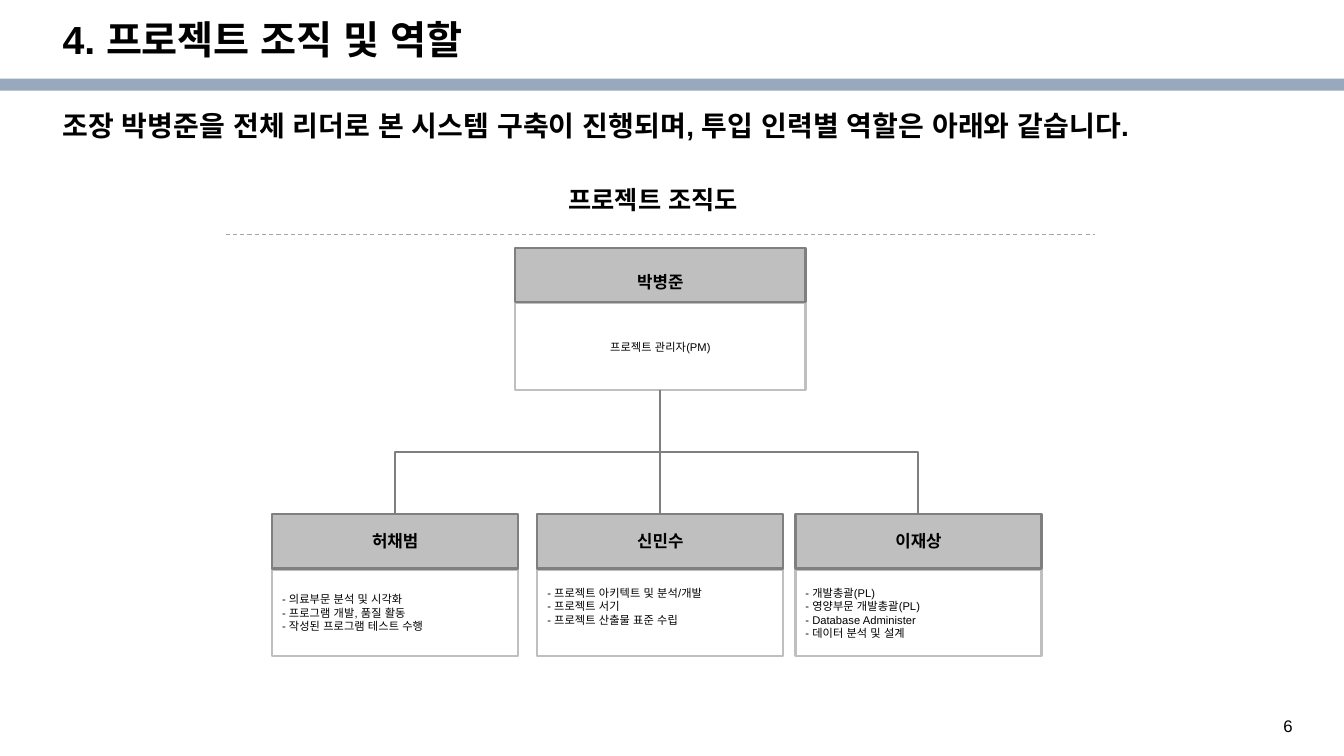
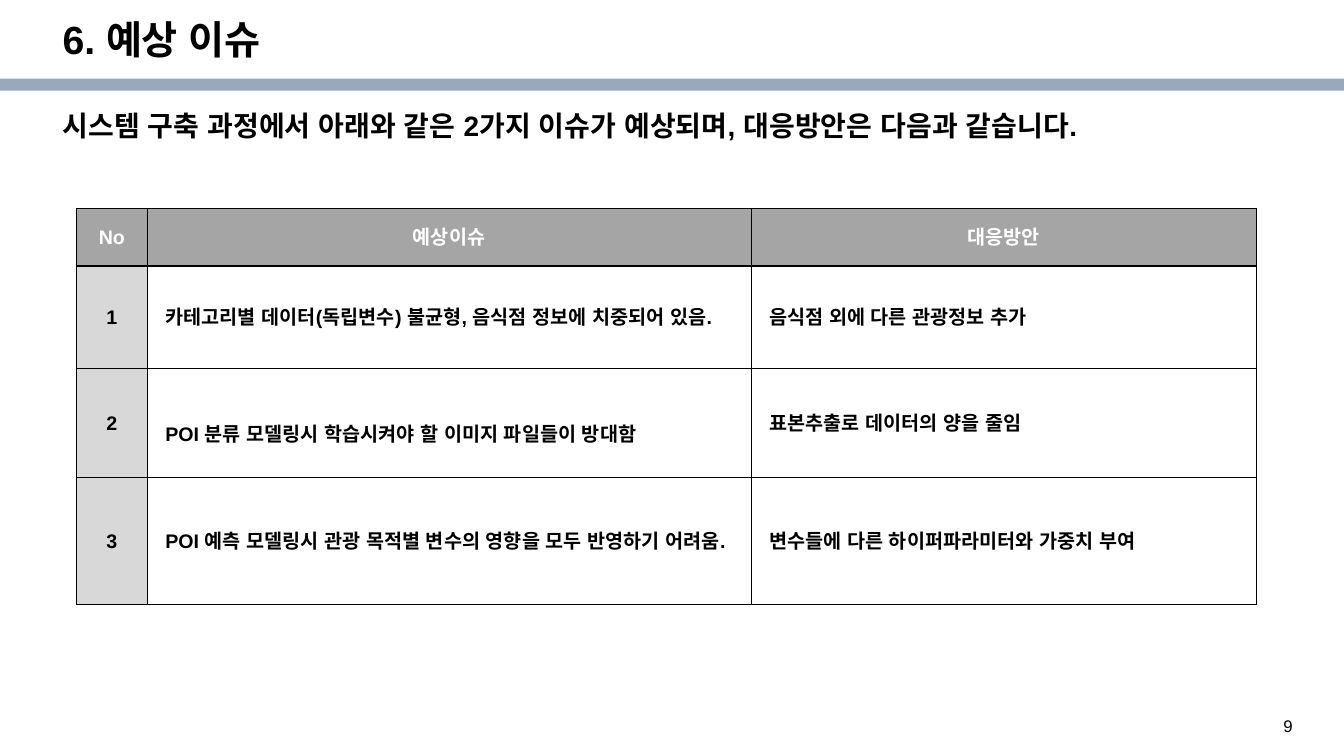
from lxml import etree
from pptx import Presentation
from pptx.dml.color import RGBColor
from pptx.enum.dml import MSO_LINE
from pptx.enum.shapes import MSO_CONNECTOR, MSO_SHAPE
from pptx.enum.text import MSO_ANCHOR, MSO_AUTO_SIZE, PP_ALIGN
from pptx.oxml.ns import qn
from pptx.util import Inches, Pt

# Shared style
FONT = "Arial"
BLACK = RGBColor(0x00, 0x00, 0x00)
WHITE = RGBColor(0xFF, 0xFF, 0xFF)
BAND_BLUE = RGBColor(0x98, 0xA8, 0xBD)
DARK_GREY = RGBColor(0x7F, 0x7F, 0x7F)
HEADER_GREY = RGBColor(0xA5, 0xA5, 0xA5)
BOX_GREY = RGBColor(0xBF, 0xBF, 0xBF)
NUMBER_GREY = RGBColor(0xD8, 0xD8, 0xD8)
LEFT, CENTER = PP_ALIGN.LEFT, PP_ALIGN.CENTER
TOP, MIDDLE = MSO_ANCHOR.TOP, MSO_ANCHOR.MIDDLE
NO_AUTOFIT = MSO_AUTO_SIZE.NONE
RECTANGLE = MSO_SHAPE.RECTANGLE
STRAIGHT, ELBOW = MSO_CONNECTOR.STRAIGHT, MSO_CONNECTOR.ELBOW
DASH = MSO_LINE.DASH
TITLE_ONLY = 5
PAGE_WIDTH, PAGE_HEIGHT = 13.33, 7.5

# Organisation chart
NAME_HEIGHT, ROLE_OFFSET, ROLE_HEIGHT = 0.54, 0.55, 0.86
MANAGER_LEFT, MANAGER_TOP, MANAGER_WIDTH = 5.11, 2.46, 2.88
MEMBER_TOP, MEMBER_WIDTH = 5.1, 2.44
MEMBERS = [
    (2.7, "허채범", 0.05,
     ["- 의료부문 분석 및 시각화", "- 프로그램 개발, 품질 활동",
      "- 작성된 프로그램 테스트 수행"]),
    (5.33, "신민수", 0.18,
     ["- 프로젝트 아키텍트 및 분석/개발", "- 프로젝트 서기",
      "- 프로젝트 산출물 표준 수립"]),
    (7.89, "이재상", 0.05,
     ["- 개발총괄(PL)", "- 영양부문 개발총괄(PL)",
      "- Database Administer", "- 데이터 분석 및 설계"]),
]

# Issue table
COLUMN_WIDTHS = [0.7, 5.99, 5.01]
ROW_HEIGHTS = [0.57, 1.02, 1.08, 1.26]
ISSUES = [
    ["No", "예상이슈", "대응방안"],
    ["1", "카테고리별 데이터(독립변수) 불균형, 음식점 정보에 치중되어 있음.",
     "음식점 외에 다른 관광정보 추가"],
    ["2", "POI 분류 모델링시 학습시켜야 할 이미지 파일들이 방대함",
     "표본추출로 데이터의 양을 줄임"],
    ["3", "POI 예측 모델링시 관광 목적별 변수의 영향을 모두 반영하기 어려움.",
     "변수들에 다른 하이퍼파라미터와 가중치 부여"],
]


def write_text(frame, lines, size=12, bold=False, color=BLACK, align=LEFT,
               spacing=None):
    """Fill a text frame with one paragraph per line."""
    for index, line in enumerate(lines):
        para = frame.add_paragraph() if index else frame.paragraphs[0]
        para.alignment = align
        if spacing:
            para.line_spacing = spacing
        span = para.add_run()
        span.text = line
        span.font.name = FONT
        span.font.size = Pt(size)
        span.font.bold = bold
        span.font.color.rgb = color
        east_asian = etree.SubElement(span.font._element, qn("a:ea"))
        east_asian.set("typeface", FONT)


def add_text_box(page, left, top, width, height, text, **text_format):
    box = page.shapes.add_textbox(Inches(left), Inches(top),
                                  Inches(width), Inches(height))
    box.text_frame.word_wrap = True
    write_text(box.text_frame, [text], **text_format)


def add_rectangle(page, left, top, width, height, fill=None, line=None):
    box = page.shapes.add_shape(RECTANGLE, Inches(left), Inches(top),
                                Inches(width), Inches(height))
    box.shadow.inherit = False
    if fill is None:
        box.fill.background()
    else:
        box.fill.solid()
        box.fill.fore_color.rgb = fill
    if line is None:
        box.line.fill.background()
    else:
        box.line.color.rgb = line
        box.line.width = Pt(1.5)
    return box


def add_line(page, kind, start, end, color, width):
    line = page.shapes.add_connector(kind, Inches(start[0]), Inches(start[1]),
                                     Inches(end[0]), Inches(end[1]))
    line.line.color.rgb = color
    line.line.width = Pt(width)
    etree.SubElement(line._element.spPr, qn("a:effectLst"))
    return line


def add_branch(page, start, end):
    """Elbow that leaves downwards: a sideways elbow turned by a quarter."""
    run, drop = end[0] - start[0], end[1] - start[1]
    middle_x, middle_y = start[0] + run / 2, start[1] + drop / 2
    half_width, half_height = drop / 2, abs(run) / 2
    branch = add_line(page, ELBOW,
                      (middle_x - half_width, middle_y - half_height),
                      (middle_x + half_width, middle_y + half_height),
                      DARK_GREY, 1.5)
    frame = branch._element.spPr.find(qn("a:xfrm"))
    frame.set("rot", str((90 if run < 0 else 270) * 60000))
    if run >= 0:
        frame.set("flipH", "1")


def add_person(page, left, top, width, name, roles, role_align=LEFT,
               name_anchor=MIDDLE, name_margin=0.05, role_margin=0.05):
    """Role box with a grey name box above it."""
    role_box = add_rectangle(page, left, top + ROLE_OFFSET, width, ROLE_HEIGHT,
                             line=BOX_GREY)
    role_box.text_frame.vertical_anchor = MIDDLE
    role_box.text_frame.margin_bottom = Inches(role_margin)
    write_text(role_box.text_frame, roles, size=8, align=role_align)
    name_box = add_rectangle(page, left, top, width, NAME_HEIGHT,
                             fill=BOX_GREY, line=DARK_GREY)
    name_box.text_frame.vertical_anchor = name_anchor
    name_box.text_frame.margin_top = Inches(name_margin)
    write_text(name_box.text_frame, [name], bold=True, align=CENTER)


def add_cell_borders(cell):
    properties = cell._tc.get_or_add_tcPr()
    for index, side in enumerate(("a:lnL", "a:lnR", "a:lnT", "a:lnB")):
        border = etree.Element(qn(side), w=str(Pt(0.96)))
        fill = etree.SubElement(border, qn("a:solidFill"))
        etree.SubElement(fill, qn("a:srgbClr"), val=str(BLACK))
        properties.insert(index, border)


def add_issue_table(page, left, top):
    table = page.shapes.add_table(
        len(ROW_HEIGHTS), len(COLUMN_WIDTHS), Inches(left), Inches(top),
        Inches(sum(COLUMN_WIDTHS)), Inches(sum(ROW_HEIGHTS))).table
    table.horz_banding = False
    for column, width in zip(table.columns, COLUMN_WIDTHS):
        column.width = Inches(width)
    for row, height in zip(table.rows, ROW_HEIGHTS):
        row.height = Inches(height)
    for row_index, texts in enumerate(ISSUES):
        for column_index, text in enumerate(texts):
            cell = table.cell(row_index, column_index)
            header, number = row_index == 0, column_index == 0
            cell.vertical_anchor = MIDDLE
            if header or number:
                cell.fill.solid()
                cell.fill.fore_color.rgb = HEADER_GREY if header else NUMBER_GREY
            else:
                cell.fill.background()
                cell.margin_left = Inches(0.18)
            if number and not header:
                cell.margin_left = cell.margin_right = Inches(0.05)
            write_text(cell.text_frame, [text], size=14, bold=True,
                       color=WHITE if header else BLACK,
                       align=CENTER if header or number else LEFT)
            add_cell_borders(cell)
    # The second issue sits a little below the middle of its row
    table.cell(2, 1).margin_top = Inches(0.27)


def add_page(deck, title, message, number):
    """Page with title, band, key message and page number."""
    page = deck.slides.add_slide(deck.slide_layouts[TITLE_ONLY])
    add_rectangle(page, 0, 0.78, PAGE_WIDTH, 0.12, fill=BAND_BLUE)
    add_text_box(page, 12.63, 7.05, 0.51, 0.27, str(number))
    heading = page.shapes.title
    heading.left, heading.top = Inches(0.52), Inches(0.15)
    heading.width, heading.height = Inches(11.5), Inches(0.53)
    heading.text_frame.vertical_anchor = TOP
    heading.text_frame.auto_size = NO_AUTOFIT
    write_text(heading.text_frame, [title], size=28, bold=True, spacing=0.9)
    add_text_box(page, 0.52, 1.06, 12.01, 0.71, message, size=20, bold=True,
                 spacing=0.9)
    return page


def build_organisation(deck):
    page = add_page(
        deck, "4. 프로젝트 조직 및 역할",
        "조장 박병준을 전체 리더로 본 시스템 구축이 진행되며, "
        "투입 인력별 역할은 아래와 같습니다.", 6)
    # Chart heading
    rule = add_line(page, STRAIGHT, (2.24, 2.33), (10.86, 2.33),
                    HEADER_GREY, 0.75)
    rule.line.dash_style = DASH
    add_text_box(page, 5.54, 1.78, 2.44, 0.4, "프로젝트 조직도", size=18, bold=True)
    # Manager and members
    add_person(page, MANAGER_LEFT, MANAGER_TOP, MANAGER_WIDTH, "박병준",
               ["프로젝트 관리자(PM)"], role_align=CENTER, name_anchor=TOP,
               name_margin=0.24)
    manager_foot = (MANAGER_LEFT + MANAGER_WIDTH / 2,
                    MANAGER_TOP + ROLE_OFFSET + ROLE_HEIGHT)
    for left, name, role_margin, roles in MEMBERS:
        add_person(page, left, MEMBER_TOP, MEMBER_WIDTH, name, roles,
                   role_margin=role_margin)
        add_branch(page, manager_foot, (left + MEMBER_WIDTH / 2, MEMBER_TOP))


def build_issues(deck):
    page = add_page(
        deck, "6. 예상 이슈",
        "시스템 구축 과정에서 아래와 같은 2가지 이슈가 예상되며, "
        "대응방안은 다음과 같습니다.", 9)
    add_issue_table(page, 0.76, 2.07)


def main():
    deck = Presentation()
    deck.slide_width, deck.slide_height = Inches(PAGE_WIDTH), Inches(PAGE_HEIGHT)
    build_organisation(deck)
    build_issues(deck)
    deck.save("out.pptx")


main()
